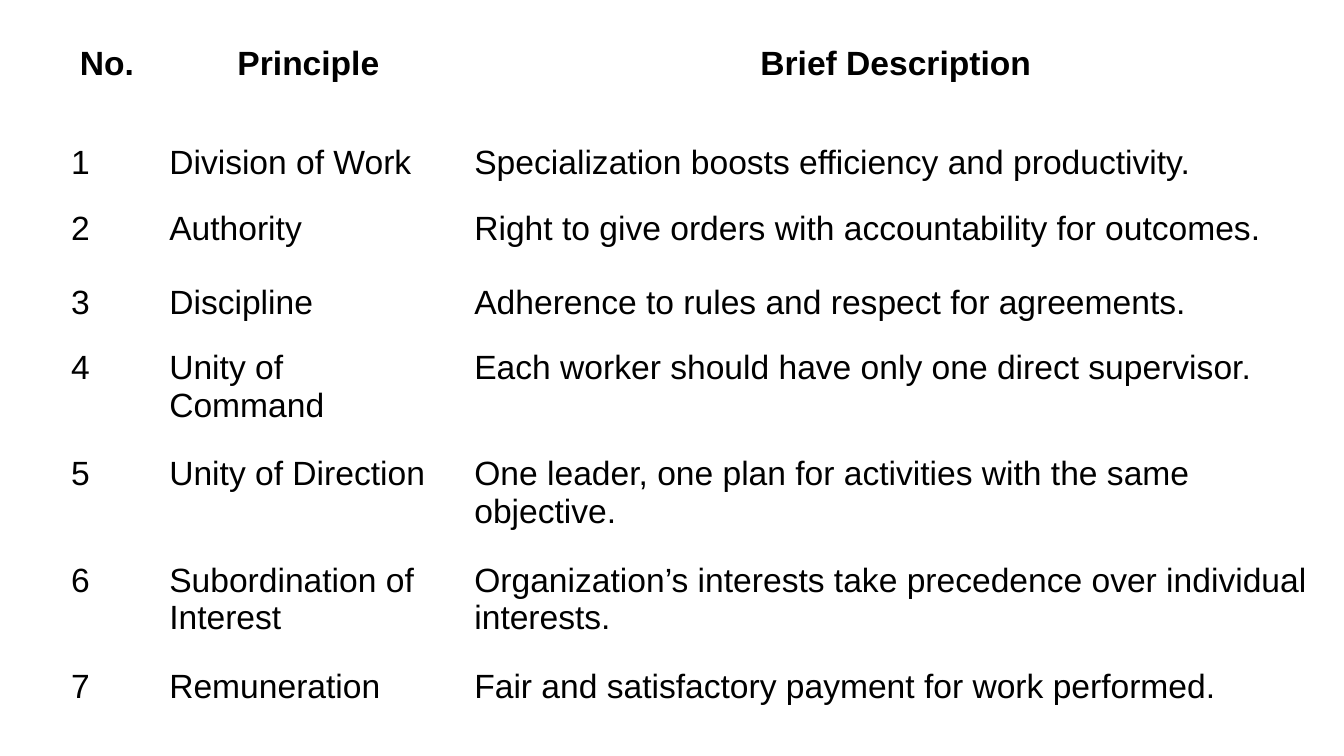
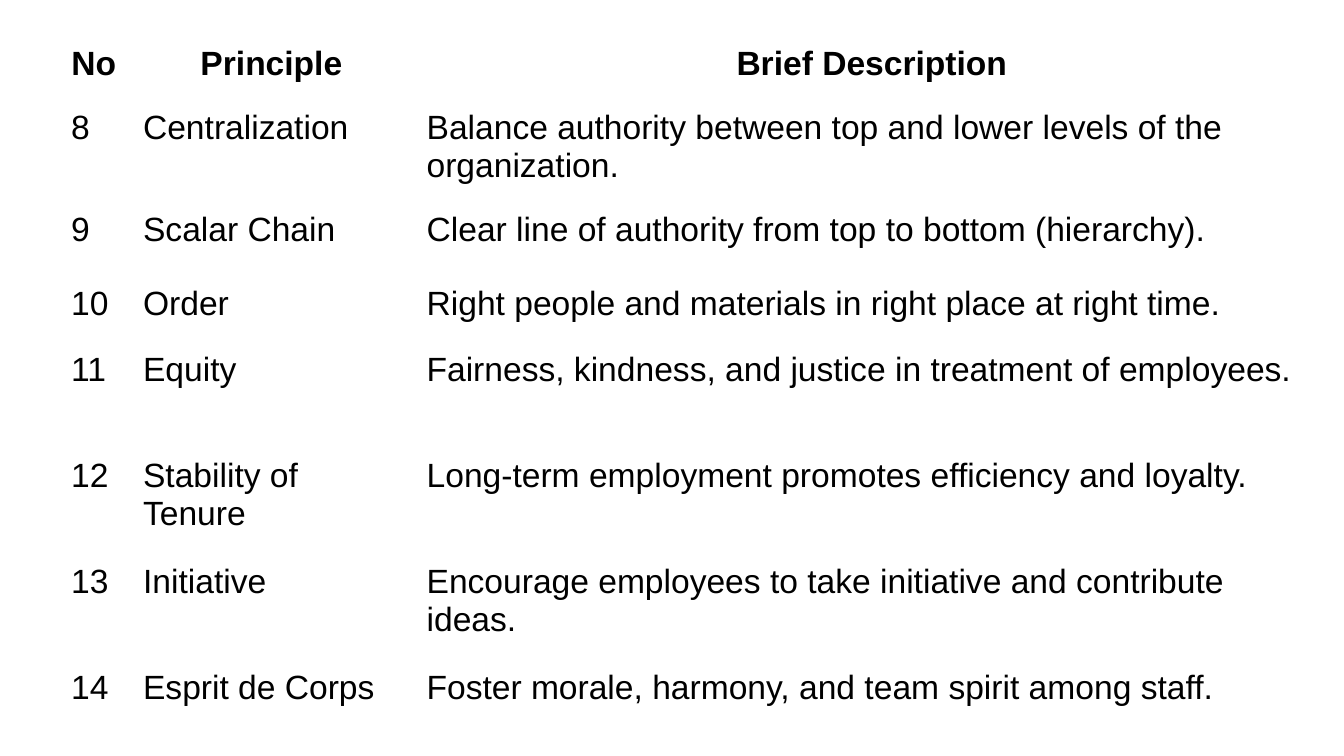
from pptx import Presentation
from pptx.dml.color import RGBColor
from pptx.enum.text import PP_ALIGN
from pptx.util import Inches, Pt

BLACK = RGBColor(0x00, 0x00, 0x00)
WHITE = RGBColor(0xFF, 0xFF, 0xFF)
BODY = [4.9, 5.5, 4.9, 7.9, 7.9, 7.9, 4.9]

FIRST = [
    ("No.", "Principle", "Brief Description"),
    ("1", "Division of Work", "Specialization boosts efficiency and productivity."),
    ("2", "Authority", "Right to give orders with accountability for outcomes."),
    ("3", "Discipline", "Adherence to rules and respect for agreements."),
    ("4", "Unity of Command", "Each worker should have only one direct supervisor."),
    ("5", "Unity of Direction",
     "One leader, one plan for activities with the same objective."),
    ("6", "Subordination of Interest",
     "Organization’s interests take precedence over individual interests."),
    ("7", "Remuneration", "Fair and satisfactory payment for work performed."),
]
SECOND = [
    ("No", "Principle", "Brief Description"),
    ("8", "Centralization",
     "Balance authority between top and lower levels of the organization."),
    ("9", "Scalar Chain", "Clear line of authority from top to bottom (hierarchy)."),
    ("10", "Order", "Right people and materials in right place at right time."),
    ("11", "Equity", "Fairness, kindness, and justice in treatment of employees."),
    ("12", "Stability of Tenure",
     "Long-term employment promotes efficiency and loyalty."),
    ("13", "Initiative",
     "Encourage employees to take initiative and contribute ideas."),
    ("14", "Esprit de Corps", "Foster morale, harmony, and team spirit among staff."),
]


class Deck:
    """Hold the style and current slide on a grid of tenth-inch cells."""

    font, size = "Arial", Pt(18)
    unit = Inches(0.1)

    def __init__(self, wide, high):
        """Start a deck of the given grid size."""
        self.show = Presentation()
        self.show.slide_width = self.span(wide)
        self.show.slide_height = self.span(high)
        self.slide = None

    def span(self, count):
        """Turn grid units into a length."""
        return round(count * self.unit)

    def page(self):
        """Add a blank white slide."""
        self.slide = self.show.slides.add_slide(self.show.slide_layouts[6])
        fill = self.slide.background.fill
        fill.solid()
        fill.fore_color.rgb = WHITE

    def table(self, left, top, cols, rows, data):
        """Add a plain table whose first row is a header."""
        box = [self.span(n) for n in (left, top, sum(cols), sum(rows))]
        table = self.slide.shapes.add_table(len(rows), len(cols), *box).table
        table.first_row = table.horz_banding = False
        for col, width in zip(table.columns, cols):
            col.width = self.span(width)
        for row, height, texts in zip(table.rows, rows, data):
            row.height = self.span(height)
            for cell, text in zip(row.cells, texts):
                self.cell(cell, text, texts is data[0])

    def cell(self, cell, text, head):
        """Fill one cell and format its text."""
        cell.fill.background()
        cell.margin_left = cell.margin_right = self.unit
        cell.margin_top = cell.margin_bottom = self.unit
        cell.text = text
        para = cell.text_frame.paragraphs[0]
        if head:
            para.alignment = PP_ALIGN.CENTER
            para.line_spacing = 1.15
        font = para.font
        font.name, font.size, font.bold = self.font, self.size, head
        font.color.rgb = BLACK


def main():
    """Build both slides and save them."""
    deck = Deck(100, 56.25)
    for cols, head, data in (
        ([7.3, 22.7, 64.7], 7.8, FIRST),
        ([5.35, 21.1, 68.25], 4.8, SECOND),
    ):
        deck.page()
        deck.table(4.3, 1.9, cols, [head, *BODY], data)
    deck.show.save("out.pptx")


if __name__ == "__main__":
    main()
